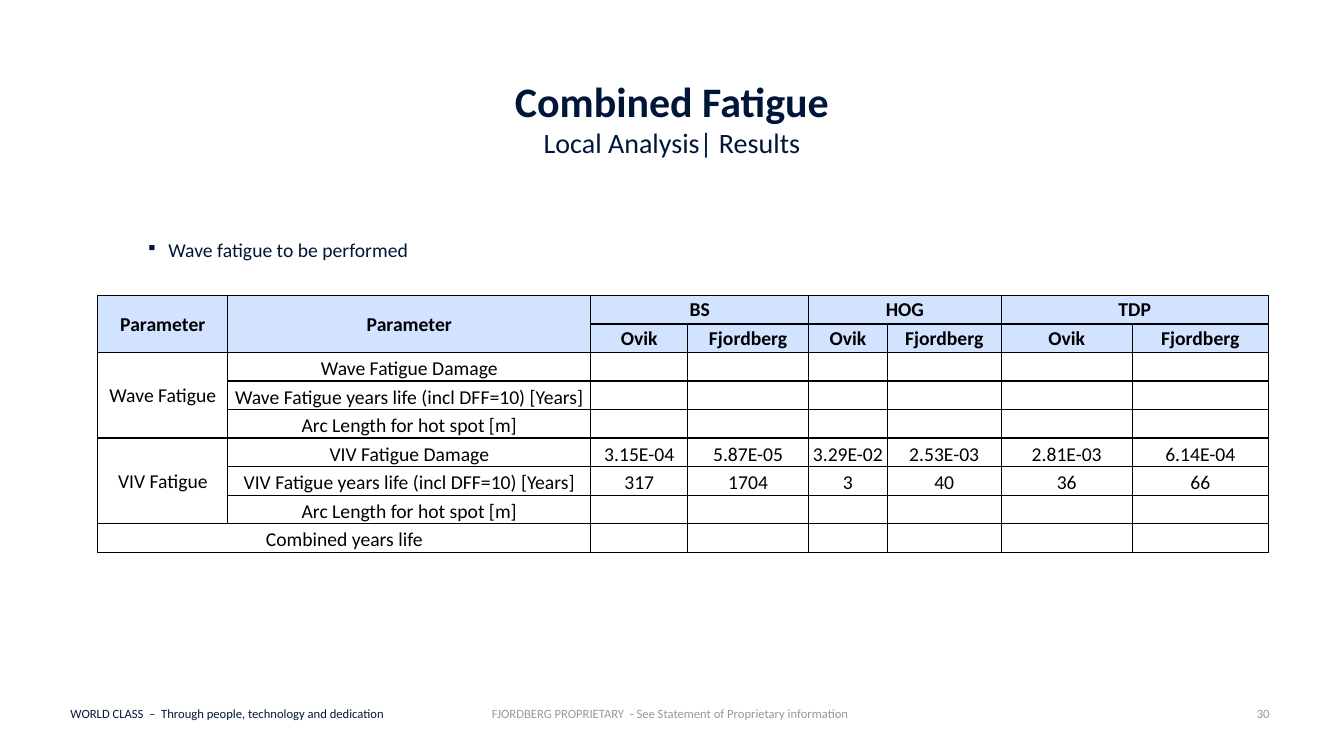
from lxml import etree
from pptx import Presentation
from pptx import util as u
from pptx.dml.color import RGBColor
from pptx.enum import text
from pptx.oxml import ns

WIDE, HIGH = 13.33, 7.5
NAVY, INK, GREY, BLACK, PALE = "001639", "081839", "999999", "000000", "D2E3FF"
LEFT, MID, RIGHT = text.PP_ALIGN.LEFT, text.PP_ALIGN.CENTER, text.PP_ALIGN.RIGHT
TOP, CORE, BASE = text.MSO_ANCHOR.TOP, text.MSO_ANCHOR.MIDDLE, text.MSO_ANCHOR.BOTTOM
PAD = (0.1, 0.05, 0.1, 0.05)
COLS = (1.29, 3.6, 0.96, 1.2, 0.78, 1.13, 1.3, 1.35)
YEARS = "years life (incl DFF=10) [Years]"
ARC = "Arc Length for hot spot [m]"
ROWS = (
    ("Parameter", "Parameter", "BS", "", "HOG", "", "TDP", ""),
    ("", "") + ("Ovik", "Fjordberg") * 3,
    ("Wave Fatigue", "Wave Fatigue Damage"),
    ("", f"Wave Fatigue {YEARS}"),
    ("", ARC),
    ("VIV Fatigue", "VIV Fatigue Damage", "3.15E-04", "5.87E-05",
     "3.29E-02", "2.53E-03", "2.81E-03", "6.14E-04"),
    ("", f"VIV Fatigue {YEARS}", "317", "1704", "3", "40", "36", "66"),
    ("", ARC),
    ("Combined years life",),
)
SPANS = ((0, 0, 1, 0), (0, 1, 1, 1), (0, 2, 0, 3), (0, 4, 0, 5), (0, 6, 0, 7),
         (2, 0, 4, 0), (5, 0, 7, 0), (8, 0, 8, 1))


def tint(code):
    """Turn a hex string into a colour."""
    return RGBColor.from_string(code)


def area(x, y, w, h):
    """Turn percentages of the slide into a box in inches."""
    return x * WIDE / 100, y * HIGH / 100, w * WIDE / 100, h * HIGH / 100


def part(box, x, y, w, h):
    """Give the part of a box at the given shares of its size."""
    left, top, wide, high = box
    return left + x * wide, top + y * high, w * wide, h * high


def write(para, words, size, color, bold=False):
    """Add one run to a paragraph."""
    run = para.add_run()
    run.text = words
    font = run.font
    font.name, font.size, font.bold = "Calibri", u.Pt(size), bold
    font.color.rgb = tint(color)


def label(slide, box, runs, size, align, pad=PAD, anchor=TOP, bold=False):
    """Add a text box of coloured runs and return its paragraph."""
    frame = slide.shapes.add_textbox(*map(u.Inches, box)).text_frame
    frame.word_wrap, frame.vertical_anchor = True, anchor
    (frame.margin_left, frame.margin_top,
     frame.margin_right, frame.margin_bottom) = map(u.Inches, pad)
    para = frame.paragraphs[0]
    para.alignment = align
    for words, color in runs:
        write(para, words, size, color, bold)
    return para


def head(slide, box):
    """Place the title and the subtitle."""
    title = label(slide, part(box, 0, 0, 1, 0.67), [("Combined Fatigue", NAVY)],
                  30, MID, (0, 0.05, 0, 0.05), bold=True)
    title.line_spacing = 0.9
    label(slide, part(box, 0, 0.58, 1, 0.42), [("Local Analysis| Results", NAVY)],
          20, MID, (0, 0, 0, 0))


def note(slide, box):
    """Place the bullet line."""
    para = label(slide, box, [("Wave fatigue to be performed", NAVY)],
                 14, LEFT, (0, 0, 0, 0))
    props = para._p.get_or_add_pPr()
    props.set("marL", str(u.Inches(0.22)))
    props.set("indent", str(u.Inches(-0.22)))
    etree.SubElement(props, ns.qn("a:buSzPct"), val="80000")
    etree.SubElement(props, ns.qn("a:buChar"), char="▪")


def edge(cell):
    """Draw a thin black line on each side of a cell."""
    props = cell._tc.get_or_add_tcPr()
    for side in "LRTB":
        line = etree.SubElement(props, ns.qn(f"a:ln{side}"), w=str(u.Pt(1)))
        fill = etree.SubElement(line, ns.qn("a:solidFill"))
        etree.SubElement(fill, ns.qn("a:srgbClr"), val=BLACK)


def fill(cell, words, top, anchor):
    """Style one cell and write its words."""
    edge(cell)
    if top:
        cell.fill.solid()
        cell.fill.fore_color.rgb = tint(PALE)
    else:
        cell.fill.background()
    cell.margin_left = cell.margin_top = cell.margin_right = u.Inches(0.01)
    cell.margin_bottom = 0
    cell.vertical_anchor = anchor
    para = cell.text_frame.paragraphs[0]
    para.alignment = MID
    if words:
        write(para, words, 14, BLACK, top)
    else:
        etree.SubElement(para._p, ns.qn("a:endParaRPr"), sz="1400")


def grid(slide, box):
    """Place the table of fatigue results."""
    table = slide.shapes.add_table(len(ROWS), len(COLS), *map(u.Inches, box)).table
    table.first_row = table.horz_banding = False
    for col, share in zip(table.columns, COLS):
        col.width = u.Inches(box[2] * share / sum(COLS))
    for r, row in enumerate(ROWS):
        table.rows[r].height = u.Inches(box[3] / len(ROWS))
        for c in range(len(COLS)):
            words = row[c] if c < len(row) else ""
            core = r < 2 or (c == 0 and r < len(ROWS) - 1)
            fill(table.cell(r, c), words, r < 2, CORE if core else BASE)
    for r, c, end, last in SPANS:
        table.cell(r, c).merge(table.cell(end, last))


def foot(slide, box):
    """Place the motto, the notice and the page number."""
    motto = [("WORLD CLASS  –  Through ", INK), ("people", NAVY),
             (", technology and dedication", INK)]
    legal = "FJORDBERG PROPRIETARY  - See Statement of Proprietary information"
    label(slide, part(box, 0, 0.18, 0.28, 0.62), motto, 9, LEFT)
    label(slide, part(box, 0.3, 0.18, 0.4, 0.62), [(legal, GREY)], 9, MID)
    label(slide, part(box, 0.93, 0, 0.07, 1), [("30", GREY)], 9, RIGHT, anchor=CORE)


def main():
    """Build the slide and save it."""
    deck = Presentation()
    deck.slide_width, deck.slide_height = u.Inches(WIDE), u.Inches(HIGH)
    slide = deck.slides.add_slide(deck.slide_layouts[6])
    foot(slide, area(4.5, 91.73, 90.7, 5.33))
    head(slide, area(16.73, 10.13, 66.54, 11.2))
    note(slide, area(10.88, 31.47, 41.56, 5))
    grid(slide, area(7.28, 39.07, 87.1, 34))
    deck.save("out.pptx")


if __name__ == "__main__":
    main()
